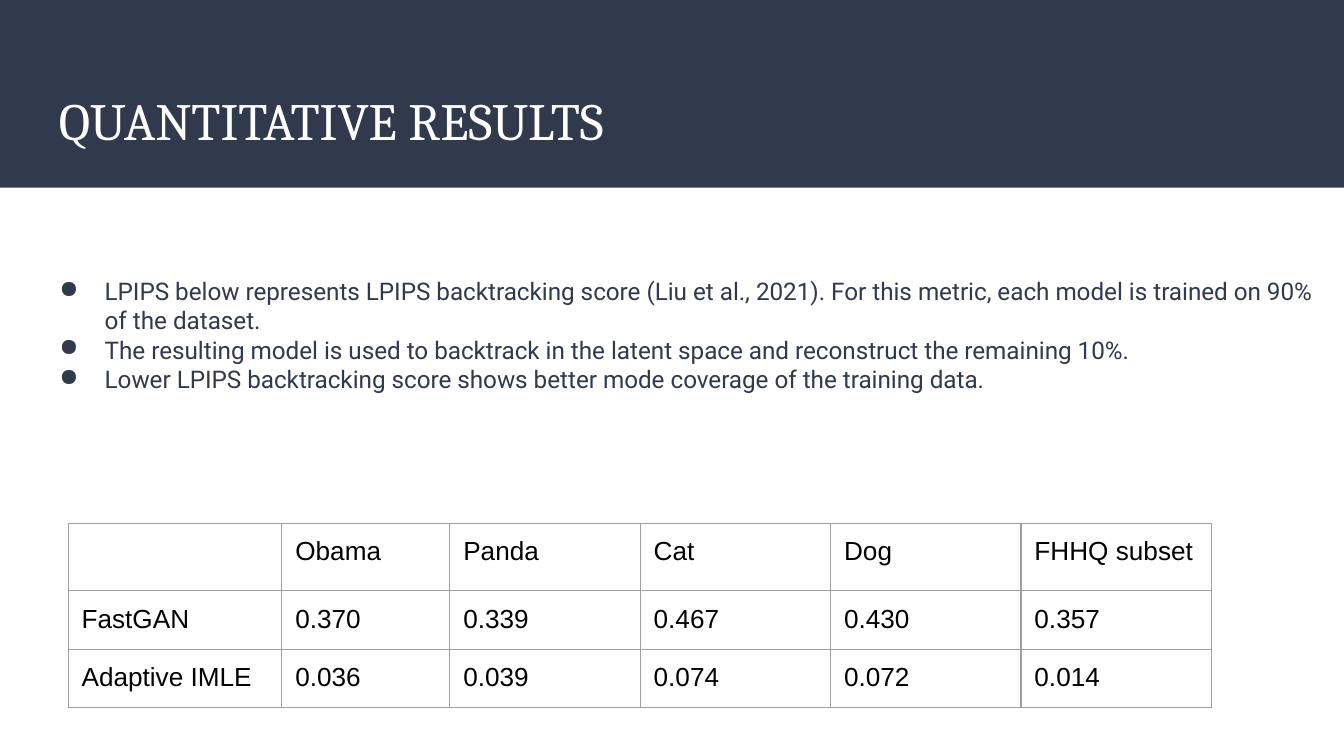
from lxml import etree
from pptx import Presentation
from pptx.dml.color import RGBColor
from pptx.enum.shapes import MSO_SHAPE
from pptx.enum.text import MSO_ANCHOR
from pptx.oxml.ns import qn
from pptx.util import Pt

RECTANGLE = MSO_SHAPE.RECTANGLE
TOP, MIDDLE = MSO_ANCHOR.TOP, MSO_ANCHOR.MIDDLE

NAVY = RGBColor(0x31, 0x39, 0x4D)
WHITE = RGBColor(0xFF, 0xFF, 0xFF)
BLACK = RGBColor(0, 0, 0)
GRAY = RGBColor(0x9E, 0x9E, 0x9E)

TITLE_FORMAT = {"name": "Cambria", "size": Pt(28), "color": WHITE}
BODY_FORMAT = {"name": "Roboto", "size": Pt(13), "color": NAVY}
TABLE_FORMAT = {"name": "Arial", "size": Pt(14), "color": BLACK}
INSET = 7.2

BULLETS = [
    "LPIPS below represents LPIPS backtracking score (Liu et al., 2021). "
    "For this metric, each model is trained on 90% of the dataset.",
    "The resulting model is used to backtrack in the latent space and "
    "reconstruct the remaining 10%.",
    "Lower LPIPS backtracking score shows better mode coverage of the training data.",
]
RESULTS = [
    ["", "Obama", "Panda", "Cat", "Dog", "FHHQ subset"],
    ["FastGAN", "0.370", "0.339", "0.467", "0.430", "0.357"],
    ["Adaptive IMLE", "0.036", "0.039", "0.074", "0.072", "0.014"],
]
COLUMN_WIDTHS = [114.5, 90] + [102] * 4
ROW_HEIGHTS = [35, 30, 30]


def format_font(font, values):
    for name, value in values.items():
        if name == "color":
            font.color.rgb = value
        else:
            setattr(font, name, value)


def set_margins(target, top=INSET):
    for side in ("left", "right", "bottom"):
        setattr(target, f"margin_{side}", Pt(INSET))
    target.margin_top = Pt(top)


def add_band(slide, width, height):
    band = slide.shapes.add_shape(RECTANGLE, 0, 0, width, height)
    band.shadow.inherit = False
    band.fill.solid()
    band.fill.fore_color.rgb = NAVY
    band.line.fill.background()


def add_bullet(paragraph):
    properties = paragraph._p.get_or_add_pPr()
    properties.set("marL", str(Pt(36)))
    properties.set("indent", str(Pt(-24.25)))
    color = etree.SubElement(properties, qn("a:buClr"))
    etree.SubElement(color, qn("a:srgbClr"), val=str(NAVY))
    etree.SubElement(properties, qn("a:buChar"), char="●")


def add_text(slide, box, lines, values, anchor=TOP, top_inset=INSET, bulleted=False):
    frame = slide.shapes.add_textbox(*map(Pt, box)).text_frame
    frame.word_wrap = True
    frame.vertical_anchor = anchor
    set_margins(frame, top_inset)
    for index, line in enumerate(lines):
        paragraph = frame.add_paragraph() if index else frame.paragraphs[0]
        if bulleted:
            add_bullet(paragraph)
        paragraph.text = line
        format_font(paragraph.font, values)
        format_font(paragraph.runs[0].font, values)


def add_borders(cell):
    properties = cell._tc.get_or_add_tcPr()
    for position, side in enumerate(("lnL", "lnR", "lnT", "lnB")):
        line = etree.Element(qn(f"a:{side}"), w=str(Pt(0.75)))
        fill = etree.SubElement(line, qn("a:solidFill"))
        etree.SubElement(fill, qn("a:srgbClr"), val=str(GRAY))
        properties.insert(position, line)


def add_results_table(slide, left, top):
    table = slide.shapes.add_table(
        len(RESULTS), len(COLUMN_WIDTHS), Pt(left), Pt(top),
        Pt(sum(COLUMN_WIDTHS)), Pt(sum(ROW_HEIGHTS))).table
    table.first_row = table.horz_banding = False
    for column, width in zip(table.columns, COLUMN_WIDTHS):
        column.width = Pt(width)
    for row, height, texts in zip(table.rows, ROW_HEIGHTS, RESULTS):
        row.height = Pt(height)
        for cell, text in zip(row.cells, texts):
            set_margins(cell)
            cell.fill.background()
            add_borders(cell)
            if text:
                cell.text = text
                format_font(cell.text_frame.paragraphs[0].runs[0].font, TABLE_FORMAT)


def main():
    presentation = Presentation()
    presentation.slide_width = Pt(720)
    presentation.slide_height = Pt(405)
    slide = presentation.slides.add_slide(presentation.slide_layouts[6])

    # Header
    add_band(slide, presentation.slide_width, Pt(100.5))
    add_text(slide, (24.5, 39.6, 671, 49), ["QUANTITATIVE RESULTS"],
             TITLE_FORMAT, anchor=MIDDLE)

    # Explanation of the metric
    add_text(slide, (13, 108.7, 699, 296), BULLETS, BODY_FORMAT,
             top_inset=39.4, bulleted=True)

    # Scores by model and data set
    add_results_table(slide, 36.5, 280.5)

    presentation.save("out.pptx")


if __name__ == "__main__":
    main()
